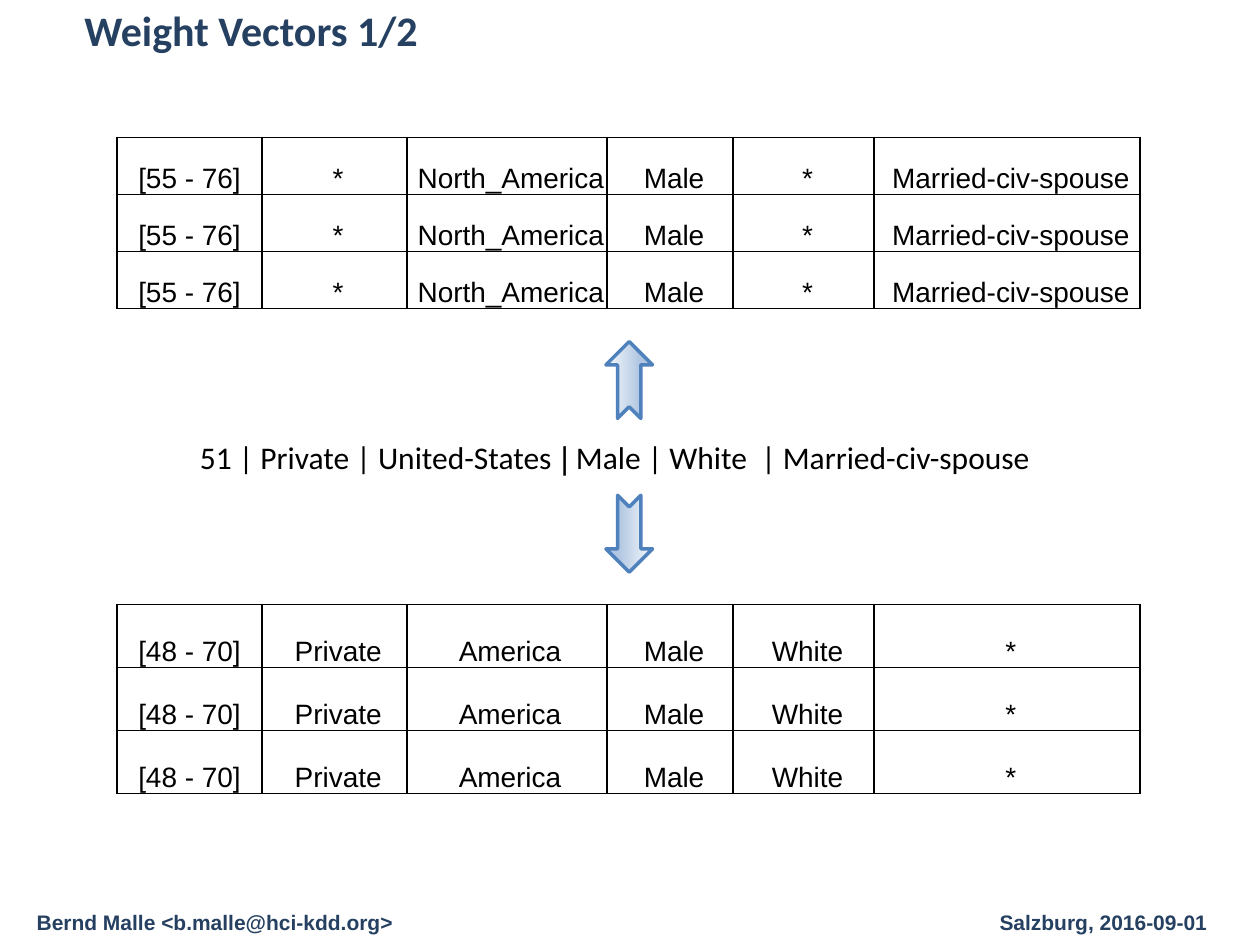
from pptx import Presentation
from pptx.dml.color import RGBColor
from pptx.enum.shapes import MSO_SHAPE as SHAPE
from pptx.enum.text import MSO_ANCHOR as ANCHOR, PP_ALIGN as ALIGN
from pptx.oxml import parse_xml
from pptx.oxml.ns import nsdecls
from pptx.util import Cm, Pt

# Content
NAVY, BLACK, BLUE = "254061", "000000", "4F81BD"
TITLE = "Weight Vectors 1/2"
FOOTERS = [  # text, left, width
    ("Bernd Malle <b.malle@hci-kdd.org>", 0.61, 7.67),
    ("Salzburg, 2016-09-01", 20.02, 4.85),
]
RECORD = [  # text, font
    ("51 | Private | United-States", "Calibri"),
    (" |", "Arial"),
    (" Male | White  | Married-civ-spouse", "Calibri"),
]
CLUSTERS = [  # row values, top, row height
    (["[55 - 76]", " *", " North_America", " Male", " *", " Married-civ-spouse"], 2.77, 1.15),
    (["[48 - 70]", " Private", " America", " Male", " White", " *"], 12.19, 1.27),
]
ROW_COUNT = 3
COL_WIDTHS = [2.92, 2.92, 4.04, 2.54, 2.84, 5.36]
TABLE_LEFT = 2.36
ARROWS = [(7.19, 270), (10.29, 90)]  # top, rotation
GRADIENT = [(0, "F6F9FC"), (74, "B0C6E1"), (83, "B0C6E1"), (100, "CAD9EB")]


def rgb(color):
    return RGBColor.from_string(color)


def add_run(p, text, font, size, color, bold=False):
    r = p.add_run()
    r.text = text
    r.font.name, r.font.size, r.font.bold = font, Pt(size), bold
    r.font.color.rgb = rgb(color)


def add_text(s, box, runs, size, color, bold=False, inset=None):
    tf = s.shapes.add_textbox(*map(Cm, box)).text_frame
    tf.word_wrap = True
    if inset is not None:
        tf.margin_left = tf.margin_right = tf.margin_top = tf.margin_bottom = Cm(inset)
    for text, font in runs:
        add_run(tf.paragraphs[0], text, font, size, color, bold)


def style_cell(cell, text):
    cell.margin_left = cell.margin_right = cell.margin_top = Cm(0.03)
    cell.margin_bottom = 0
    cell.vertical_anchor = ANCHOR.BOTTOM
    p = cell.text_frame.paragraphs[0]
    p.alignment = ALIGN.CENTER
    add_run(p, text, "Arial", 16, BLACK)
    tc_pr = cell._tc.get_or_add_tcPr()
    for side in "LRTB":
        tc_pr.append(parse_xml(
            f'<a:ln{side} {nsdecls("a")} w="{Pt(1)}"><a:solidFill>'
            f'<a:srgbClr val="{BLACK}"/></a:solidFill></a:ln{side}>'))
    cell.fill.background()


def add_cluster(s, values, top, row_height):
    tbl = s.shapes.add_table(ROW_COUNT, len(values), Cm(TABLE_LEFT), Cm(top),
                             Cm(sum(COL_WIDTHS)), Cm(ROW_COUNT * row_height)).table
    tbl.first_row = tbl.horz_banding = False
    for col, width in zip(tbl.columns, COL_WIDTHS):
        col.width = Cm(width)
    for row in tbl.rows:
        row.height = Cm(row_height)
        for cell, text in zip(row.cells, values):
            style_cell(cell, text)


def add_arrow(s, top, rotation):
    sp = s.shapes.add_shape(SHAPE.NOTCHED_RIGHT_ARROW, Cm(11.91), Cm(top), Cm(1.55), Cm(0.94))
    sp.rotation = rotation
    sp.shadow.inherit = False
    sp.line.color.rgb = rgb(BLUE)
    sp.line.width = Pt(2)
    # Four-stop gradient, placed right after the geometry
    stops = "".join(f'<a:gs pos="{pos * 1000}"><a:srgbClr val="{color}"/></a:gs>'
                    for pos, color in GRADIENT)
    sp._element.spPr.prstGeom.addnext(parse_xml(
        f'<a:gradFill {nsdecls("a")} rotWithShape="1"><a:gsLst>{stops}</a:gsLst>'
        '<a:lin ang="5400000" scaled="0"/></a:gradFill>'))


def main():
    prs = Presentation()
    prs.slide_width, prs.slide_height = Cm(25.4), Cm(19.05)
    s = prs.slides.add_slide(prs.slide_layouts[6])

    # Footer and title
    for text, left, width in FOOTERS:
        add_text(s, (left, 18.21, width, 0.76), [(text, "Arial")], 12, NAVY, True, 0.13)
    add_text(s, (1.45, -0.03, 20.24, 1.19), [(TITLE, "Calibri")], 24, NAVY, True)

    # Clusters, with the record to assign between them
    for cluster in CLUSTERS:
        add_cluster(s, *cluster)
    add_text(s, (3.78, 8.71, 17.78, 1.02), RECORD, 18, BLACK)
    for arrow in ARROWS:
        add_arrow(s, *arrow)

    prs.save("out.pptx")


if __name__ == "__main__":
    main()
